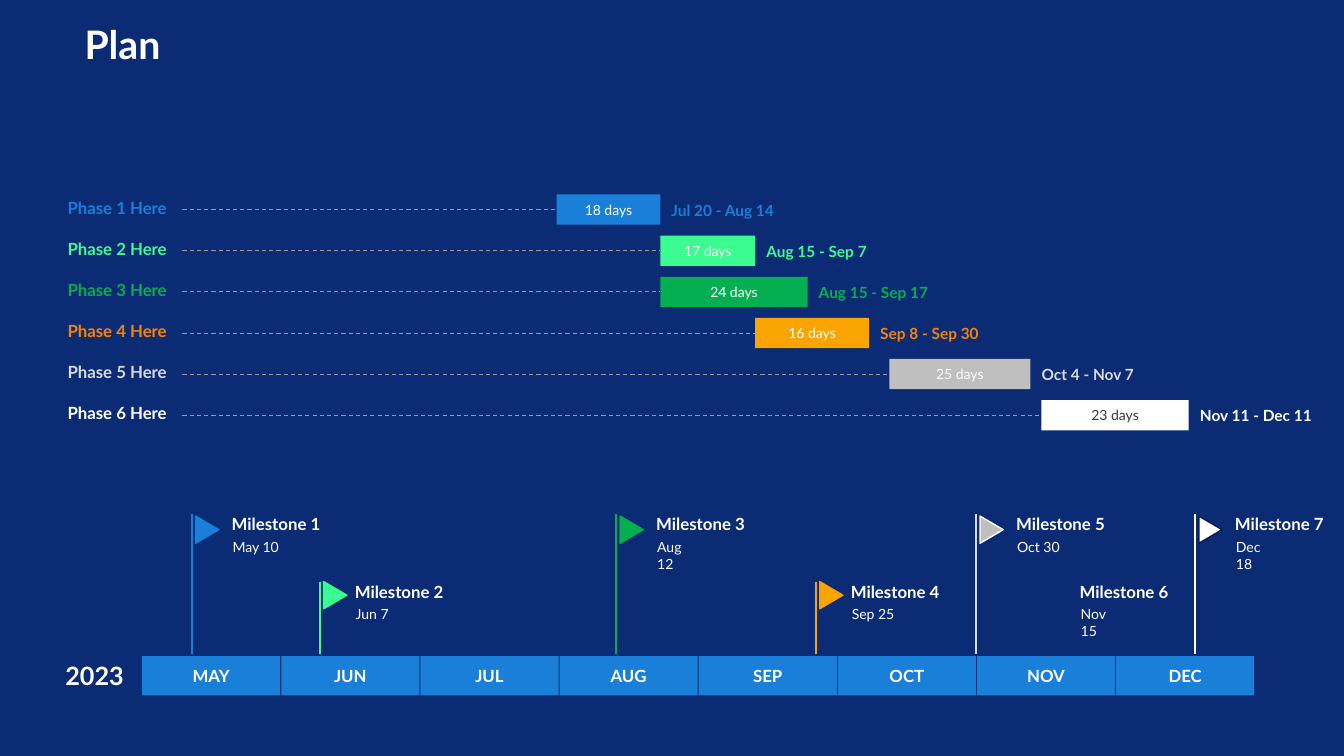
import pptx
import pptx.util
import pptx.dml.color
import pptx.enum.dml
import pptx.enum.shapes
import pptx.enum.text
import pptx.oxml.ns
import lxml.etree

Inches = pptx.util.Inches
SHAPE = pptx.enum.shapes.MSO_SHAPE
ALIGN = pptx.enum.text.PP_ALIGN
ANCHOR = pptx.enum.text.MSO_ANCHOR

# Content
COLORS = {
    "navy": "0C2B75", "blue": "1A7FD8", "mint": "3BFC91", "green": "03AF50",
    "amber": "F9A401", "orange": "F78303", "silver": "BFBFBF", "pale": "D9D9D9",
    "white": "FFFFFF", "dark": "3B3838", "dash": "9C9C9C", "edge": "081D4F",
}
TITLE = "Plan"
YEAR = "2023"
MONTHS = ["MAY", "JUN", "JUL", "AUG", "SEP", "OCT", "NOV", "DEC"]
# name, days, dates, bar left, bar width, bar color, label color, days color
PHASES = [
    ("Phase 1 Here", "18 days", "Jul 20 - Aug 14", 5.52, 1.03, "blue", "blue", "white"),
    ("Phase 2 Here", "17 days", "Aug 15 - Sep 7", 6.55, 0.94, "mint", "mint", "white"),
    ("Phase 3 Here", "24 days", "Aug 15 - Sep 17", 6.55, 1.46, "green", "green", "white"),
    ("Phase 4 Here", "16 days", "Sep 8 - Sep 30", 7.49, 1.13, "amber", "orange", "white"),
    ("Phase 5 Here", "25 days", "Oct 4 - Nov 7", 8.82, 1.4, "silver", "pale", "white"),
    ("Phase 6 Here", "23 days", "Nov 11 - Dec 11", 10.33, 1.46, "white", "white", "dark"),
]
# name, date, pole x, tier, date box width, (pole, flag, flag edge) colors
MILESTONES = [
    ("Milestone 1", "May 10", 1.9, "high", 0.8, ("blue", "blue", "blue")),
    ("Milestone 2", "Jun 7", 3.17, "low", 0.8, ("mint", "mint", "mint")),
    ("Milestone 3", "Aug 12", 6.11, "high", 0.58, ("green", "green", "green")),
    ("Milestone 4", "Sep 25", 8.09, "low", 0.8, ("amber", "amber", "amber")),
    ("Milestone 5", "Oct 30", 9.68, "high", 0.8, ("pale", "silver", "white")),
    ("Milestone 6", "Nov 15", 10.36, "low", 0.58, None),
    ("Milestone 7", "Dec 18", 11.85, "high", 0.58, ("white", "white", "edge")),
]
# pole top, flag drop, text offset from the pole
TIERS = {"high": (5.1, 0.04, 0.3), "low": (5.77, 0.02, 0.25)}

# Layout
BAR_TOP, BAR_H, ROW_STEP = 1.93, 0.3, (3.97 - 1.93) / 5
LABEL_X, DASH_X, DATE_GAP = 0.67, 1.81, 0.11
MONTH_X, MONTH_Y, MONTH_W, MONTH_H, MONTH_STEP = 1.41, 6.51, 1.37, 0.39, 1.38
POLE_END, FLAG_W, FLAG_H = 6.49, 0.27, 0.23


def rgb(name):
    return pptx.dml.color.RGBColor.from_string(COLORS[name])


def write(sp, text, size, color, bold=False, align=ALIGN.LEFT, anchor=ANCHOR.TOP, inset=None):
    tf = sp.text_frame
    frame = {"word_wrap": True, "vertical_anchor": anchor}
    if inset is not None:
        frame.update({"margin_" + side: Inches(inset) for side in ("left", "top", "right", "bottom")})
    for key, value in frame.items():
        setattr(tf, key, value)
    p = tf.paragraphs[0]
    p.alignment = align
    r = p.add_run()
    r.text = text
    for key, value in {"name": "Lato", "size": pptx.util.Pt(size), "bold": bold}.items():
        setattr(r.font, key, value)
    r.font.color.rgb = rgb(color)
    return p


def add_text(slide, box, *args, **fmt):
    return write(slide.shapes.add_textbox(*map(Inches, box)), *args, **fmt)


def add_block(slide, kind, box, fill, edge=None):
    sp = slide.shapes.add_shape(kind, *map(Inches, box))
    sp.shadow.inherit = False
    sp.fill.solid()
    sp.fill.fore_color.rgb = rgb(fill)
    if edge:
        sp.line.color.rgb = rgb(edge)
        sp.line.width = pptx.util.Pt(1)
    else:
        sp.line.fill.background()
    return sp


def add_line(slide, ends, color, width):
    line = slide.shapes.add_connector(pptx.enum.shapes.MSO_CONNECTOR.STRAIGHT, *map(Inches, ends))
    line.line.color.rgb = rgb(color)
    line.line.width = pptx.util.Pt(width)
    lxml.etree.SubElement(line._element.spPr, pptx.oxml.ns.qn("a:effectLst"))
    return line


def add_phase(slide, row, phase):
    name, days, dates, x, w, fill, label_color, days_color = phase
    y = BAR_TOP + row * ROW_STEP
    mid = y + BAR_H / 2
    bar = add_block(slide, SHAPE.RECTANGLE, (x, y, w, BAR_H), fill)
    write(bar, days, 10, days_color, align=ALIGN.CENTER, anchor=ANCHOR.MIDDLE)
    dash = add_line(slide, (DASH_X, mid, x, mid), "dash", 0.75)
    dash.line.dash_style = pptx.enum.dml.MSO_LINE.DASH
    dash.end_connect(bar, 1)
    label = {"bold": True, "anchor": ANCHOR.MIDDLE, "inset": 0}
    add_text(slide, (LABEL_X, y + 0.03, 1.14, 0.2), name, 12, label_color, **label)
    add_text(slide, (x + w + DATE_GAP, y + 0.06, 1.32, 0.19), dates, 11, label_color, **label)


def add_milestone(slide, milestone):
    name, date, x, tier, date_w, colors = milestone
    top, drop, offset = TIERS[tier]
    if colors:
        pole, fill, edge = colors
        add_line(slide, (x, top, x, POLE_END), pole, 1.5)
        flag = add_block(slide, SHAPE.ISOSCELES_TRIANGLE, (x + 0.02, top + drop, FLAG_W, FLAG_H), fill, edge)
        flag.rotation = 90
    add_text(slide, (x + offset, top - 0.05, 1.15, 0.3), name, 12, "white", bold=True)
    add_text(slide, (x + offset + 0.01, top + 0.19, date_w, 0.27), date, 10, "white")


def main():
    prs = pptx.Presentation()
    prs.slide_width, prs.slide_height = Inches(13.33), Inches(7.5)
    slide = prs.slides.add_slide(prs.slide_layouts[6])
    slide.background.fill.solid()
    slide.background.fill.fore_color.rgb = rgb("navy")

    # Title
    p = add_text(slide, (0.74, 0.18, 8.96, 0.56), TITLE, 28, "white", bold=True, anchor=ANCHOR.MIDDLE)
    p.line_spacing = 0.9

    # Phase bars
    for row, phase in enumerate(PHASES):
        add_phase(slide, row, phase)

    # Month strip
    add_text(slide, (0.55, 6.5, 0.85, 0.4), YEAR, 18, "white", bold=True)
    for i, month in enumerate(MONTHS):
        sp = add_block(slide, SHAPE.RECTANGLE, (MONTH_X + i * MONTH_STEP, MONTH_Y, MONTH_W, MONTH_H), "blue")
        write(sp, month, 12, "white", bold=True, align=ALIGN.CENTER, anchor=ANCHOR.MIDDLE, inset=0)

    # Milestone flags
    for milestone in MILESTONES:
        add_milestone(slide, milestone)

    prs.save("out.pptx")


if __name__ == "__main__":
    main()
